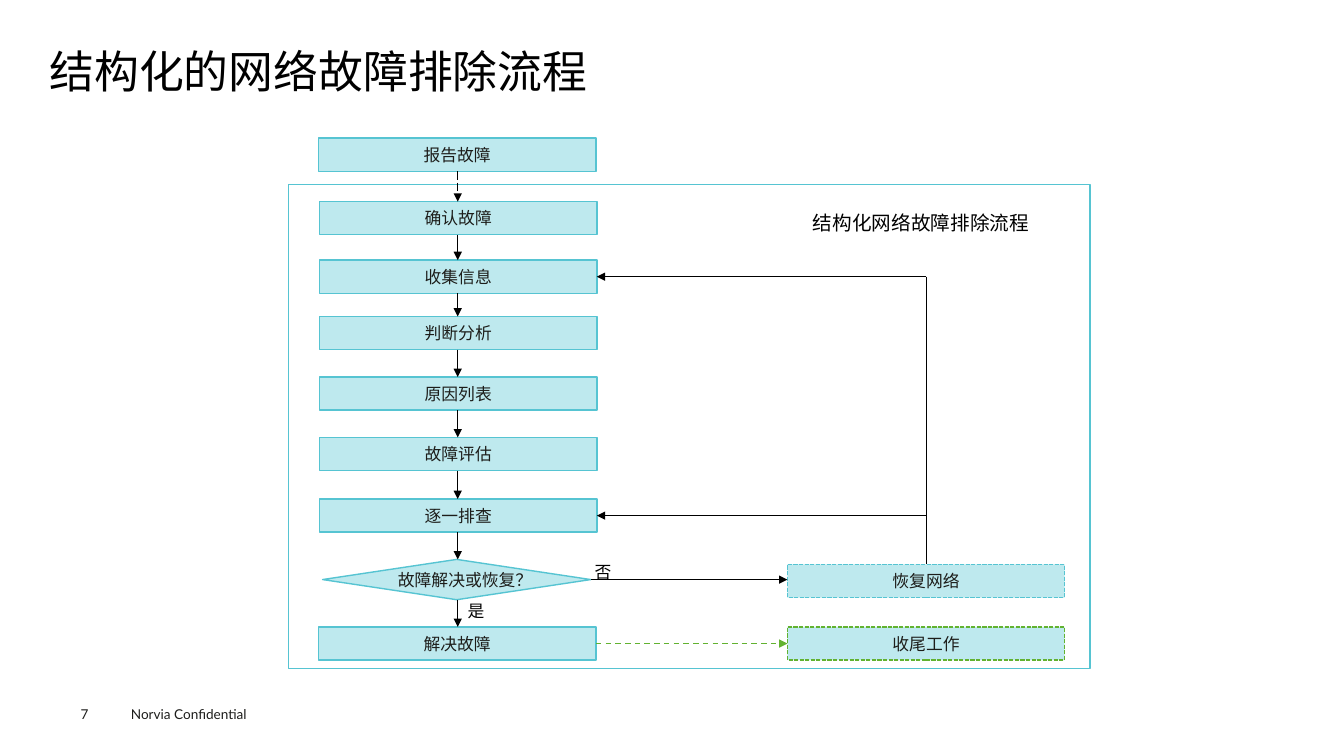
from dataclasses import dataclass
from itertools import pairwise

from lxml.etree import SubElement
from pptx import Presentation
from pptx.dml.color import RGBColor
from pptx.enum.dml import MSO_LINE as Dash
from pptx.enum.shapes import MSO_CONNECTOR as Link, MSO_SHAPE as Kind
from pptx.enum.text import MSO_ANCHOR as Anchor, MSO_AUTO_SIZE as Fit, PP_ALIGN as Align
from pptx.oxml.ns import qn
from pptx.shapes.autoshape import Shape
from pptx.slide import Slide
from pptx.text.text import TextFrame
from pptx.util import Inches, Pt

FONT = "Lato"
BLACK, INK, GREY = "000000", "1D1D1A", "1D1D1B"
WHITE, PALE, TEAL, GREEN = "FFFFFF", "BEE9EE", "56C4D2", "62B230"
LEFT, RIGHT, WIDE, HIGH = 3.17, 7.81, 2.75, 0.33
MID = 4.54
BACK = RIGHT + WIDE / 2


@dataclass
class Node:
    text: str
    top: float
    left: float = LEFT
    wide: float = WIDE
    high: float = HIGH
    kind: Kind = Kind.RECTANGLE
    edge: str = TEAL
    dash: Dash | None = None

    @property
    def base(self) -> float:
        return self.top + self.high

    @property
    def mid(self) -> float:
        return self.top + self.high / 2

    @property
    def end(self) -> float:
        return self.left + self.wide


@dataclass
class Line:
    x1: float
    y1: float
    x2: float
    y2: float
    color: str = BLACK
    width: float = 0.75
    dash: Dash | None = None
    arrow: bool = True


@dataclass
class Label:
    text: str
    left: float
    top: float
    wide: float
    high: float
    size: float = 12
    color: str = BLACK
    inset: float | None = None
    align: Align = Align.LEFT
    anchor: Anchor = Anchor.TOP


def rgb(code: str) -> RGBColor:
    return RGBColor.from_string(code)


def write(frame: TextFrame, text: str, *, size: float = 12, color: str = INK,
          align: Align = Align.CENTER, anchor: Anchor = Anchor.MIDDLE,
          inset: float | None = 0, spacing: float | None = None) -> None:
    frame.word_wrap = True
    frame.auto_size = Fit.NONE
    frame.vertical_anchor = anchor
    if inset is not None:
        frame.margin_left = frame.margin_right = Inches(inset)
        frame.margin_top = frame.margin_bottom = Inches(inset)
    para = frame.paragraphs[0]
    para.alignment = align
    if spacing:
        para.line_spacing = spacing
    run = para.add_run()
    run.text = text
    run.font.name = FONT
    run.font.size = Pt(size)
    run.font.color.rgb = rgb(color)


def draw_node(slide: Slide, node: Node, fill: str = PALE) -> Shape:
    box = slide.shapes.add_shape(node.kind, Inches(node.left), Inches(node.top),
                                 Inches(node.wide), Inches(node.high))
    box.shadow.inherit = False
    box.fill.solid()
    box.fill.fore_color.rgb = rgb(fill)
    box.line.color.rgb = rgb(node.edge)
    box.line.width = Pt(1)
    if node.dash:
        box.line.dash_style = node.dash
    if node.text:
        write(box.text_frame, node.text)
    return box


def draw_line(slide: Slide, line: Line) -> None:
    link = slide.shapes.add_connector(Link.STRAIGHT, Inches(line.x1), Inches(line.y1),
                                      Inches(line.x2), Inches(line.y2))
    link.line.color.rgb = rgb(line.color)
    link.line.width = Pt(line.width)
    if line.dash:
        link.line.dash_style = line.dash
    props = link._element.spPr
    if line.arrow:
        SubElement(props.find(qn("a:ln")), qn("a:tailEnd"), type="triangle")
    SubElement(props, qn("a:effectLst"))


def draw_label(slide: Slide, label: Label) -> None:
    box = slide.shapes.add_textbox(Inches(label.left), Inches(label.top),
                                   Inches(label.wide), Inches(label.high))
    write(box.text_frame, label.text, size=label.size, color=label.color,
          align=label.align, anchor=label.anchor, inset=label.inset)


REPORT = Node("报告故障", 1.37, left=3.16)
GATHER = Node("收集信息", 2.58)
CHECK = Node("逐一排查", 4.95)
ASK = Node("故障解决或恢复？", 5.55, left=3.2, wide=2.66, high=0.4, kind=Kind.FLOWCHART_DECISION)
SOLVE = Node("解决故障", 6.22, left=3.16)
FLOW = [REPORT, Node("确认故障", 2), GATHER, Node("判断分析", 3.14), Node("原因列表", 3.74),
        Node("故障评估", 4.34), CHECK, ASK, SOLVE]
RESTORE = Node("恢复网络", 5.6, left=RIGHT, dash=Dash.SQUARE_DOT)
CLOSE = Node("收尾工作", SOLVE.top, left=RIGHT, edge=GREEN, dash=Dash.SQUARE_DOT)

LINES = [
    *(Line(MID, a.base, MID, b.top, dash=Dash.LONG_DASH if a is REPORT else None)
      for a, b in pairwise(FLOW)),
    Line(ASK.end, ASK.mid, RIGHT, ASK.mid),
    Line(BACK, GATHER.mid, BACK, RESTORE.top, arrow=False),
    *(Line(BACK, node.mid, node.end, node.mid) for node in (GATHER, CHECK)),
    Line(SOLVE.end, SOLVE.mid, RIGHT, SOLVE.mid, color=GREEN, width=1, dash=Dash.DASH),
]

LABELS = [
    Label("Norvia Confidential", 1.2, 6.95, 1.6, 0.27, size=9.7, color=GREY),
    Label("7", 0.8, 7, 0.55, 0.16, size=9.7, color=GREY, inset=0),
    Label("否", 5.8, 5.52, 0.24, 0.3),
    Label("是", MID, 5.91, 0.24, 0.3),
    Label("结构化网络故障排除流程", 7.76, 2.04, WIDE, HIGH, size=14, inset=0,
          align=Align.CENTER, anchor=Anchor.MIDDLE),
]


def main() -> None:
    deck = Presentation()
    deck.slide_width, deck.slide_height = Inches(13.33), Inches(7.5)
    slide = deck.slides.add_slide(deck.slide_layouts[5])

    title = slide.shapes.title
    title.left, title.top = Inches(0.49), Inches(0.49)
    title.width, title.height = Inches(12.35), Inches(0.54)
    write(title.text_frame, "结构化的网络故障排除流程", size=32, color=BLACK,
          align=Align.LEFT, anchor=Anchor.TOP, spacing=0.9)

    draw_node(slide, Node("", 1.83, left=2.86, wide=7.95, high=4.8), fill=WHITE)
    for node in [*FLOW, RESTORE, CLOSE]:
        draw_node(slide, node)
    for line in LINES:
        draw_line(slide, line)
    for label in LABELS:
        draw_label(slide, label)
    deck.save("out.pptx")


if __name__ == "__main__":
    main()
